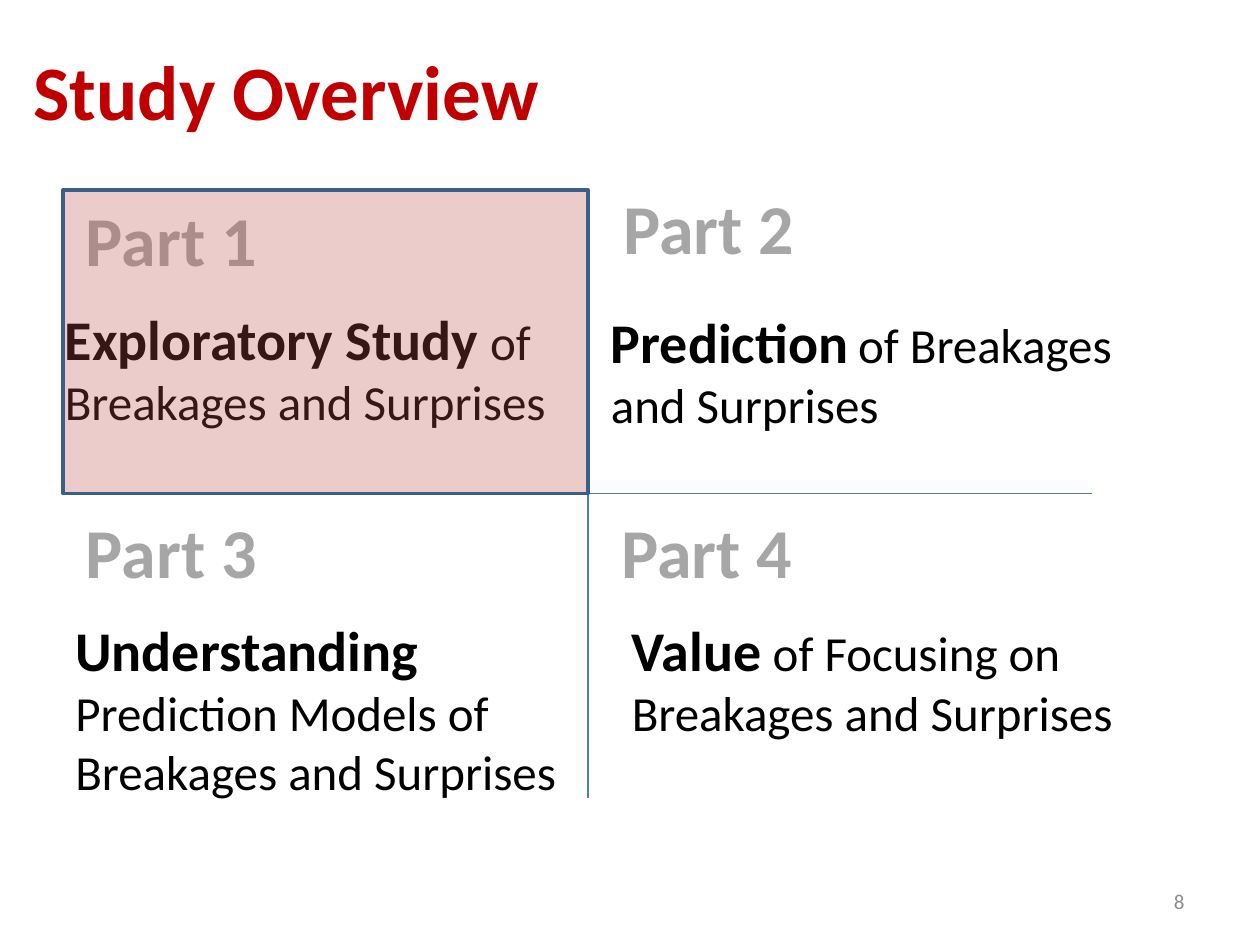
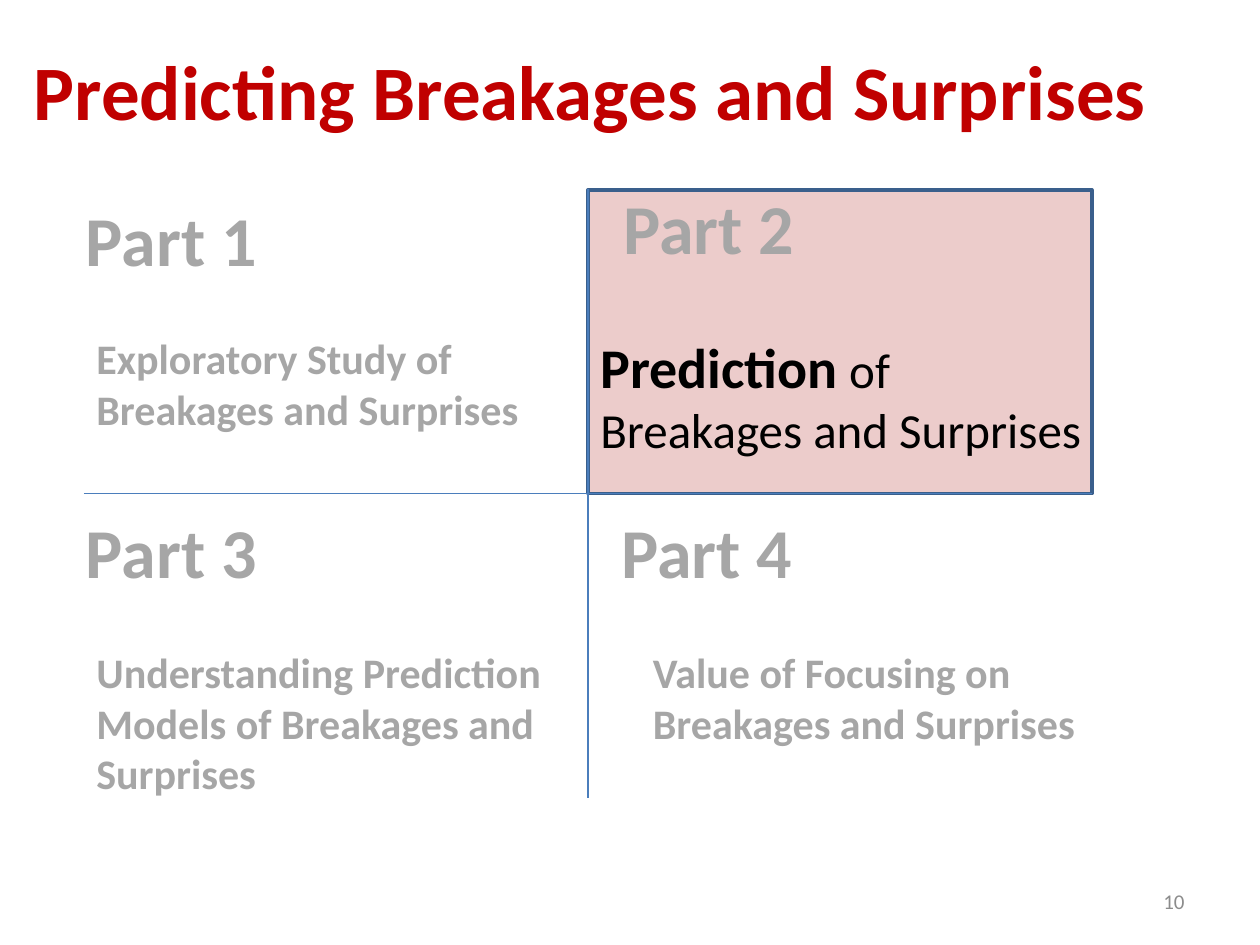
"""Build two study overview slides, each highlighting one quadrant of a four-part grid."""
import pptx
import pptx.dml.color
import pptx.enum.shapes
import pptx.enum.text
import pptx.oxml.ns
import pptx.util
from lxml import etree

RGBColor = pptx.dml.color.RGBColor
MSO_ANCHOR = pptx.enum.text.MSO_ANCHOR
MSO_AUTO_SIZE = pptx.enum.text.MSO_AUTO_SIZE
PP_ALIGN = pptx.enum.text.PP_ALIGN
qn = pptx.oxml.ns.qn
Pt = pptx.util.Pt

RED = RGBColor(0xC0, 0x00, 0x00)
BLACK = RGBColor(0x00, 0x00, 0x00)
GRAY = RGBColor(0xA6, 0xA6, 0xA6)
NUMBER_GRAY = RGBColor(0x8C, 0x8C, 0x8C)
AXIS_BLUE = RGBColor(0x4B, 0x7E, 0xBC)
BORDER_BLUE = RGBColor(0x3A, 0x5F, 0x8C)
HIGHLIGHT = RGBColor(0xC0, 0x50, 0x4D)

TITLE = (RED, {"size": Pt(44), "bold": True})
PART = (GRAY, {"size": Pt(40), "bold": True})
KEY = (BLACK, {"size": Pt(32), "bold": True})
BODY = (BLACK, {"size": Pt(28), "bold": False})
GAP = (BLACK, {"size": Pt(24), "bold": False})
DIMMED = (GRAY, {"size": Pt(24), "bold": True})
NUMBER = (NUMBER_GRAY, {"size": Pt(12), "bold": False})

COLUMNS, ROWS = 120, 90
LEFT, MIDDLE, RIGHT = 8, 56, 104
TOP, CENTER, BOTTOM = 18, 47, 76

prs = pptx.Presentation()
prs.slide_width = pptx.util.Inches(10)
prs.slide_height = pptx.util.Inches(7.5)


def grid(*cells):
    """Turn alternating columns and rows into lengths on the slide."""
    steps = (prs.slide_width / COLUMNS, prs.slide_height / ROWS)
    return [round(cell * steps[i % 2]) for i, cell in enumerate(cells)]


def write(sp, runs, wrap=True, anchor=MSO_ANCHOR.TOP, align=PP_ALIGN.LEFT,
          fit=MSO_AUTO_SIZE.SHAPE_TO_FIT_TEXT):
    """Fill a shape with one paragraph of formatted runs."""
    tf = sp.text_frame
    for name, value in {"word_wrap": wrap, "vertical_anchor": anchor, "auto_size": fit}.items():
        setattr(tf, name, value)
    p = tf.paragraphs[0]
    p.alignment = align
    for text, (color, formats) in runs:
        r = p.add_run()
        r.text = text
        r.font.name = "Calibri"
        r.font.color.rgb = color
        for name, value in formats.items():
            setattr(r.font, name, value)


PARTS = [
    ("Part 1", (7, 18.1)),
    ("Part 2", (58.2, 17)),
    ("Part 3", (7, 47.8)),
    ("Part 4", (58, 47.8)),
]
AXES = [(LEFT, CENTER, RIGHT, CENTER), (MIDDLE, TOP, MIDDLE, BOTTOM)]

SLIDES = [
    {
        "title": "Study Overview",
        "number": "8",
        "highlight": (6, MIDDLE),
        "in_front": True,
        "topics": [
            ((5, 28.4, 50, 13.3),
             [("Exploratory Study", KEY), (" of Breakages and Surprises", BODY)]),
            ((57, 28.7, 54, 13.3),
             [("Prediction", KEY), (" ", GAP), ("of Breakages and Surprises", BODY)]),
            ((6, 58, 50.2, 19),
             [("Understanding ", KEY), ("Prediction Models of Breakages and Surprises", BODY)]),
            ((59, 58, 49, 13.3),
             [("Value", KEY), (" of Focusing on Breakages and Surprises", BODY)]),
        ],
    },
    {
        "title": "Predicting Breakages and Surprises",
        "number": "10",
        "highlight": (MIDDLE, RIGHT),
        "in_front": False,
        "topics": [
            ((8, 31.1, 45, 10.9), [("Exploratory Study of Breakages and Surprises", DIMMED)]),
            ((56, 31.1, 50, 13.3), [("Prediction", KEY), (" of Breakages and Surprises", BODY)]),
            ((8, 61, 45, 15.7),
             [("Understanding Prediction Models of Breakages and Surprises", DIMMED)]),
            ((61, 61, 45, 10.9), [("Value of Focusing on Breakages and Surprises", DIMMED)]),
        ],
    },
]

for content in SLIDES:
    s = prs.slides.add_slide(prs.slide_layouts[5])
    title = s.shapes.title
    title.left, title.top, title.width, title.height = grid(2, 1, 111, 15)
    write(title, [(content["title"], TITLE)], anchor=MSO_ANCHOR.MIDDLE, fit=MSO_AUTO_SIZE.NONE)

    start, end = content["highlight"]
    box = s.shapes.add_shape(pptx.enum.shapes.MSO_SHAPE.RECTANGLE,
                             *grid(start, TOP + 0.1, end - start, CENTER - TOP - 0.1))
    box.shadow.inherit = False
    box.fill.solid()
    box.fill.fore_color.rgb = HIGHLIGHT
    color = box.fill._xPr.find(".//" + qn("a:srgbClr"))
    etree.SubElement(color, qn("a:alpha"), val="29000")
    box.line.color.rgb = BORDER_BLUE
    box.line.width = Pt(2)

    for ends in AXES:
        axis = s.shapes.add_connector(pptx.enum.shapes.MSO_CONNECTOR.STRAIGHT, *grid(*ends))
        axis.line.color.rgb = AXIS_BLUE
        axis.line.width = Pt(0.75)
        etree.SubElement(axis._element.spPr, qn("a:effectLst"))

    for label, corner in PARTS:
        sp = s.shapes.add_textbox(*grid(*corner, 18.8, 9.3))
        write(sp, [(label, PART)], wrap=False)

    for place, runs in content["topics"]:
        write(s.shapes.add_textbox(*grid(*place)), runs)

    if content["in_front"]:
        s.shapes._spTree.append(box._element)

    sp = s.shapes.add_textbox(*grid(86, 83.4, 28, 4.8))
    write(sp, [(content["number"], NUMBER)], anchor=MSO_ANCHOR.MIDDLE,
          align=PP_ALIGN.RIGHT, fit=MSO_AUTO_SIZE.NONE)

prs.save("out.pptx")
